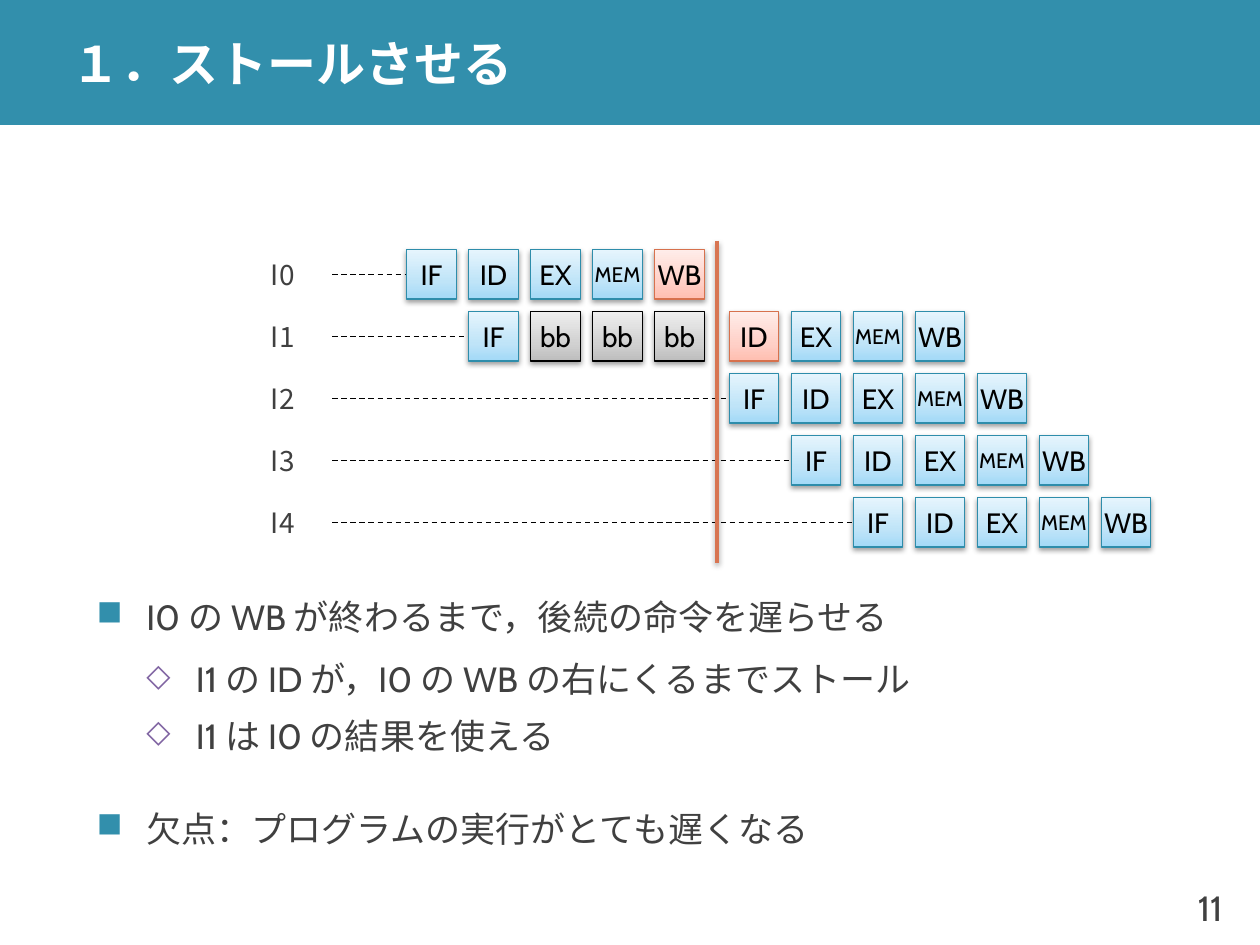
from lxml.etree import SubElement
from pptx import Presentation
from pptx.dml.color import RGBColor
from pptx.enum.dml import MSO_LINE
from pptx.enum.shapes import MSO_CONNECTOR, MSO_SHAPE
from pptx.enum.text import MSO_ANCHOR, PP_ALIGN
from pptx.oxml.ns import qn
from pptx.util import Cm, Pt

# Content
TITLE = "１．ストールさせる"
PAGE_NUMBER = "11"
STAGES = ["IF", "ID", "EX", "MEM", "WB"]
# Instruction name, first column, stages
PIPELINE = [
    ("I0", 0, STAGES),
    ("I1", 1, ["IF", "bb", "bb", "bb", "ID", "EX", "MEM", "WB"]),
    ("I2", 5, STAGES),
    ("I3", 6, STAGES),
    ("I4", 7, STAGES),
]
HAZARD = {("I0", "WB"), ("I1", "ID")}
NOTES = [
    (0, "I0 の WB が終わるまで，後続の命令を遅らせる"),
    (1, "I1 の ID が，I0 の WB の右にくるまでストール"),
    (1, "I1 は I0 の結果を使える"),
    (0, "欠点：プログラムの実行がとても遅くなる"),
]

# Style
COLORS = {"banner": "328FAC", "white": "FFFFFF", "text": "404040",
          "black": "000000", "bar": "D87552", "diamond": "8064A2"}
BOX_STYLES = {  # outline, then gradient from bottom to top
    "normal": ("2E8DAB", ["A2D9F7", "BFE4F8", "E6F5FD"]),
    "hazard": ("D7714D", ["FFBEB0", "FFD0C7", "FFEDEA"]),
    "bubble": ("000000", ["BDBDBD", "D1D1D1", "EEEEEE"]),
}
GRADIENT_STOPS = [0, 35, 100]
BULLETS = [  # character, colour, size %, space before, space after
    ("■", "banner", 100, 24, 6),
    ("◇", "diamond", 90, 3, 3),
]
LATIN, JAPANESE = "Cabin", "Noto Sans CJK JP"

# Grid in cm
BOX, PITCH = 1.0, 1.25
GRID_LEFT, GRID_TOP = 8.2, 5.03
STALL_COLUMN, STALL_GAP = 5, 0.25
LABEL_LEFT, LABEL_WIDTH = 4.7, 2.0
INDENT = 1.0


def column_left(column):
    return GRID_LEFT + column * PITCH + (STALL_GAP if column >= STALL_COLUMN else 0)


def rgb(name):
    return RGBColor.from_string(COLORS.get(name, name))


def set_font(para, size, color, name=LATIN, bold=False):
    font = para.font
    font.size, font.bold, font.name = Pt(size), bold, name
    font.color.rgb = rgb(color)
    east_asian = SubElement(para._p.pPr.find(qn("a:defRPr")), qn("a:ea"))
    east_asian.set("typeface", JAPANESE)


def set_frame(frame, side, edge, wrap=False):
    frame.word_wrap = wrap
    frame.vertical_anchor = MSO_ANCHOR.MIDDLE
    frame.margin_left = frame.margin_right = Cm(side)
    frame.margin_top = frame.margin_bottom = Cm(edge)


def add_text(page, text, left, top, width, height, align, size, color,
             side=0.25, edge=0.0, **font):
    box = page.shapes.add_textbox(Cm(left), Cm(top), Cm(width), Cm(height))
    set_frame(box.text_frame, side, edge)
    para = box.text_frame.paragraphs[0]
    para.text, para.alignment = text, align
    set_font(para, size, color, **font)


def add_shadow(effects):
    shadow = SubElement(effects, qn("a:outerShdw"), blurRad=str(Pt(3.1)),
                        dist=str(Pt(1.6)), dir="5400000", rotWithShape="0")
    color = SubElement(shadow, qn("a:srgbClr"), val=COLORS["black"])
    SubElement(color, qn("a:alpha"), val="38000")


def add_line(page, x1, y1, x2, y2, color, width):
    line = page.shapes.add_connector(MSO_CONNECTOR.STRAIGHT,
                                     Cm(x1), Cm(y1), Cm(x2), Cm(y2))
    line.line.color.rgb = rgb(color)
    line.line.width = Pt(width)
    effects = SubElement(line._element.spPr, qn("a:effectLst"))
    return line, effects


def add_stage(page, text, left, top, style):
    outline, gradient = BOX_STYLES[style]
    box = page.shapes.add_shape(MSO_SHAPE.RECTANGLE, Cm(left), Cm(top), Cm(BOX), Cm(BOX))
    box.line.color.rgb = rgb(outline)
    box.line.width = Pt(0.75)
    box.fill.gradient()
    box.fill.gradient_angle = 90
    properties = box._element.spPr
    stops = properties.find(qn("a:gradFill")).find(qn("a:gsLst"))
    for stop in list(stops):
        stops.remove(stop)
    for position, color in zip(GRADIENT_STOPS, gradient):
        stop = SubElement(stops, qn("a:gs"), pos=str(position * 1000))
        SubElement(stop, qn("a:srgbClr"), val=color)
    box.shadow.inherit = False
    add_shadow(properties.find(qn("a:effectLst")))
    set_frame(box.text_frame, 0.25, 0.13)
    para = box.text_frame.paragraphs[0]
    para.text, para.alignment = text, PP_ALIGN.CENTER
    set_font(para, 12 if text == "MEM" else 16, "black")


def add_pipeline(page):
    for row, (name, first, stages) in enumerate(PIPELINE):
        top = GRID_TOP + row * PITCH
        add_text(page, name, LABEL_LEFT, top, LABEL_WIDTH, BOX, PP_ALIGN.CENTER,
                 16, "text", side=0, name=JAPANESE)
        middle = top + BOX / 2
        lead, _ = add_line(page, LABEL_LEFT + LABEL_WIDTH, middle,
                           column_left(first), middle, "black", 0.75)
        lead.line.dash_style = MSO_LINE.DASH
        for column, stage in enumerate(stages, first):
            style = ("hazard" if (name, stage) in HAZARD
                     else "bubble" if stage == "bb" else "normal")
            add_stage(page, stage, column_left(column), top, style)

    # Bar centred in the gap where the stall ends
    bar_x = (column_left(STALL_COLUMN - 1) + BOX + column_left(STALL_COLUMN)) / 2
    _, effects = add_line(page, bar_x, 4.85, bar_x, 11.35, "bar", 2)
    add_shadow(effects)


def add_notes(page):
    frame = page.shapes.add_textbox(Cm(1.7), Cm(11.53), Cm(23), Cm(6)).text_frame
    set_frame(frame, 0.25, 0.13, wrap=True)
    for index, (level, text) in enumerate(NOTES):
        para = frame.add_paragraph() if index else frame.paragraphs[0]
        para.text, para.level = text, level
        symbol, color, percent, before, after = BULLETS[level]
        properties = para._p.get_or_add_pPr()
        properties.set("marL", str(Cm(INDENT * (level + 1))))
        properties.set("indent", str(-Cm(INDENT)))
        bullet_color = SubElement(properties, qn("a:buClr"))
        SubElement(bullet_color, qn("a:srgbClr"), val=COLORS[color])
        SubElement(properties, qn("a:buSzPct"), val=str(percent * 1000))
        SubElement(properties, qn("a:buChar"), char=symbol)
        para.line_spacing = 1.1
        para.space_before = Pt(before if index else 0)
        para.space_after = Pt(after)
        set_font(para, 20, "text")


def main():
    deck = Presentation()
    deck.slide_width, deck.slide_height = Cm(25.4), Cm(19.05)
    page = deck.slides.add_slide(deck.slide_layouts[6])

    # Banner, title and page number
    banner = page.shapes.add_shape(MSO_SHAPE.RECTANGLE, 0, 0, deck.slide_width, Cm(2.52))
    banner.shadow.inherit = False
    banner.fill.solid()
    banner.fill.fore_color.rgb = rgb("banner")
    banner.line.fill.background()
    add_text(page, TITLE, 1.2, 0, 24.2, 2.52, PP_ALIGN.LEFT, 28, "white", bold=True)
    add_text(page, PAGE_NUMBER, 23.2, 17.53, 1.7, 1.52, PP_ALIGN.RIGHT, 20, "text",
             edge=0.13)

    add_pipeline(page)
    add_notes(page)
    deck.save("out.pptx")


if __name__ == "__main__":
    main()
